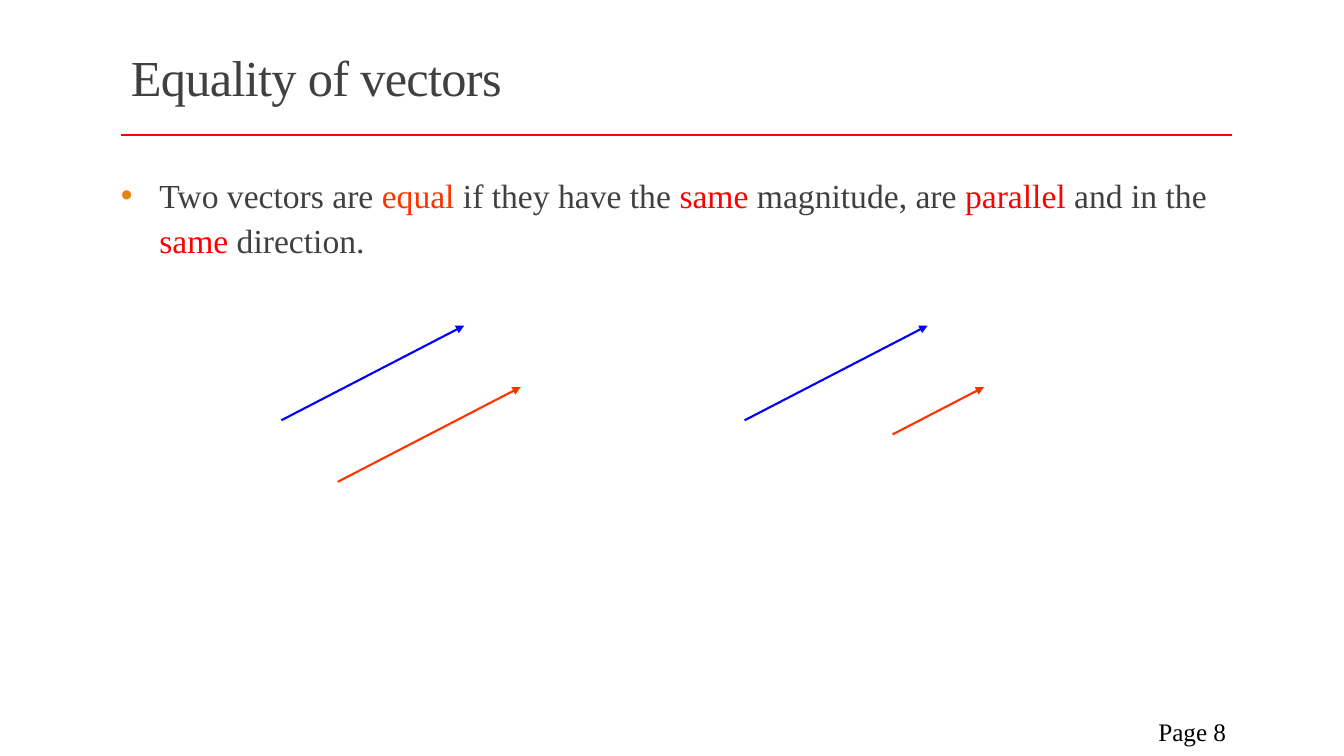
from pptx import Presentation
from pptx import util as u
from pptx.dml.color import RGBColor
from pptx.enum import shapes, text
from pptx.oxml.ns import qn
from lxml import etree

TITLE = "Equality of vectors"
BODY = [
    ("Two vectors are ", "ink"), ("equal", "flame"),
    (" if they have the ", "ink"), ("same", "red"),
    (" magnitude, are ", "ink"), ("parallel", "red"),
    (" and in the ", "ink"), ("same", "red"), (" direction.", "ink"),
]
PAGE = "Page 8"

THEME = {
    "font": "Times New Roman",
    "ink": "404040", "red": "FF0000", "flame": "FF3300",
    "blue": "0000FF", "black": "000000", "dot": "E48312",
    "title": 36, "body": 24, "page": 18, "rule": 2, "arrow": 1.5,
}

WIDE, HIGH = 13.33, 7.5
LEFT, SPAN = 1.2, 11.02
PAIRS = [(2.79, 1), (7.385, 0.5)]
RUN, RISE = 1.815, 0.94
BASE = 4.17
SHIFT = (0.56, 0.61)

deck = Presentation()
deck.slide_width, deck.slide_height = u.Inches(WIDE), u.Inches(HIGH)
slide = deck.slides.add_slide(deck.slide_layouts[6])


def tint(name):
    return RGBColor.from_string(THEME[name])


def add_text(area, parts, size, anchor, pad=0.1):
    box = slide.shapes.add_textbox(*map(u.Inches, area))
    frame = box.text_frame
    frame.word_wrap = True
    frame.vertical_anchor = anchor
    frame.margin_left = frame.margin_right = u.Inches(pad)
    para = frame.paragraphs[0]
    for words, color in parts:
        run = para.add_run()
        run.text = words
        run.font.name = THEME["font"]
        run.font.size = u.Pt(THEME[size])
        run.font.color.rgb = tint(color)
    return para


def add_line(start, end, color, width, head=False):
    ends = [u.Inches(v) for v in (*start, *end)]
    line = slide.shapes.add_connector(shapes.MSO_CONNECTOR.STRAIGHT, *ends)
    line.line.color.rgb = tint(color)
    line.line.width = u.Pt(THEME[width])
    if head:
        etree.SubElement(line.line._get_or_add_ln(), qn("a:tailEnd"), type="triangle")
    etree.SubElement(line._element.spPr, qn("a:effectLst"))


def add_bullet(para, indent):
    props = para._p.get_or_add_pPr()
    props.set("marL", str(u.Inches(indent)))
    props.set("indent", str(-u.Inches(indent)))
    color = etree.SubElement(props, qn("a:buClr"))
    etree.SubElement(color, qn("a:srgbClr"), val=THEME["dot"])
    etree.SubElement(props, qn("a:buFont"), typeface="Arial")
    etree.SubElement(props, qn("a:buChar"), char="•")


add_line((LEFT, 1.34), (LEFT + SPAN, 1.34), "red", "rule")

title = add_text((LEFT, 0.31, 11, 0.98), [(TITLE, "ink")], "title", text.MSO_ANCHOR.MIDDLE)
title.line_spacing = 0.85
title.runs[0].font._element.set("spc", "-50")

body = add_text((LEFT, 1.65, SPAN, 5.04), BODY, "body", text.MSO_ANCHOR.TOP, 0)
add_bullet(body, 0.38)
body.line_spacing = 1.1
body.space_after = u.Pt(6)

page = add_text((10.83, 7.06, 1.43, 0.4), [(PAGE, "black")], "page", text.MSO_ANCHOR.MIDDLE)
page.alignment = text.PP_ALIGN.RIGHT

for left, share in PAIRS:
    tip = (left + RUN, BASE - RISE)
    add_line((left, BASE), tip, "blue", "arrow", True)
    low = (tip[0] + SHIFT[0], tip[1] + SHIFT[1])
    tail = (low[0] - RUN * share, low[1] + RISE * share)
    add_line(tail, low, "flame", "arrow", True)

deck.save("out.pptx")
